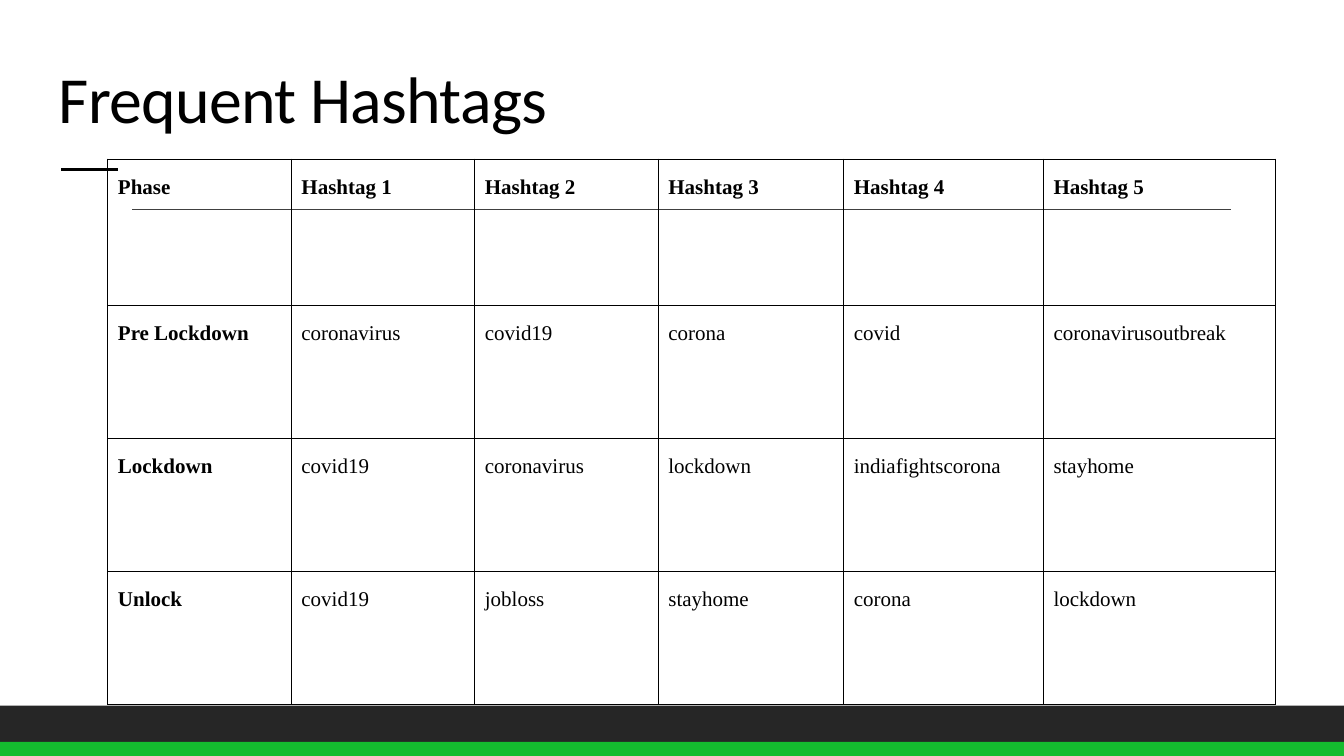
import dataclasses

import pptx
import pptx.dml.color
import pptx.enum.shapes
import pptx.enum.text
import pptx.oxml
import pptx.oxml.ns
import pptx.util

Inches = pptx.util.Inches
Pt = pptx.util.Pt
ALIGN = pptx.enum.text.PP_ALIGN
ANCHOR = pptx.enum.text.MSO_ANCHOR


@dataclasses.dataclass(frozen=True)
class Theme:
    ink: str = "000000"
    dark: str = "262626"
    green: str = "14BC2F"
    rule: str = "404040"
    head_font: str = "Calibri"
    body_font: str = "Times New Roman"
    head_size: float = 47
    body_size: float = 15


COLS = [1.82, 1.82, 1.82, 1.84, 1.98, 2.3]
ROWS = [1.45, 1.32, 1.32, 1.32]
TAGS = [
    ["Phase"] + [f"Hashtag {n}" for n in range(1, 6)],
    ["Pre Lockdown", "coronavirus", "covid19", "corona", "covid",
     "coronavirusoutbreak"],
    ["Lockdown", "covid19", "coronavirus", "lockdown", "indiafightscorona",
     "stayhome"],
    ["Unlock", "covid19", "jobloss", "stayhome", "corona", "lockdown"],
]


def color(code):
    return pptx.dml.color.RGBColor.from_string(code)


def write(frame, text, *, font, size, ink, bold=False, align=ALIGN.LEFT,
          lead=1.0, after=0, track=0):
    """Fill a text frame with one paragraph; track is letter spacing in points."""
    para = frame.paragraphs[0]
    para.alignment = align
    para.line_spacing = lead
    para.space_before = Pt(0)
    para.space_after = Pt(after)
    run = para.add_run()
    run.text = text
    run.font.name = font
    run.font.size = Pt(size)
    run.font.bold = bold
    run.font.color.rgb = color(ink)
    if track:
        run.font._element.set("spc", str(round(track * 100)))


def border(cell, ink, width):
    """Draw a solid line on all four sides of a cell."""
    props = cell._tc.get_or_add_tcPr()
    for side in ("lnL", "lnR", "lnT", "lnB"):
        props.append(pptx.oxml.parse_xml(
            f'<a:{side} {pptx.oxml.ns.nsdecls("a")} w="{Pt(width)}">'
            f'<a:solidFill><a:srgbClr val="{ink}"/></a:solidFill></a:{side}>'))


class Page:
    def __init__(self, deck, theme):
        self.theme = theme
        self.slide = deck.slides.add_slide(deck.slide_layouts[6])
        self.shapes = self.slide.shapes

    def bar(self, top, height, fill):
        shape = self.shapes.add_shape(
            pptx.enum.shapes.MSO_SHAPE.RECTANGLE,
            Inches(0), Inches(top), Inches(13.33), Inches(height))
        shape.shadow.inherit = False
        shape.fill.solid()
        shape.fill.fore_color.rgb = color(fill)
        shape.line.fill.background()

    def rule(self, left, right, top, ink, width):
        line = self.shapes.add_connector(
            pptx.enum.shapes.MSO_CONNECTOR.STRAIGHT,
            Inches(left), Inches(top), Inches(right), Inches(top))
        line.line.color.rgb = color(ink)
        line.line.width = Pt(width)
        line._element.spPr.append(pptx.oxml.parse_xml(
            f'<a:effectLst {pptx.oxml.ns.nsdecls("a")}/>'))

    def title(self, text, left, top, width, height):
        frame = self.shapes.add_textbox(
            Inches(left), Inches(top), Inches(width), Inches(height)).text_frame
        frame.word_wrap = True
        frame.vertical_anchor = ANCHOR.MIDDLE
        frame.margin_left = frame.margin_right = Inches(0.13)
        frame.margin_top = frame.margin_bottom = Inches(0.13)
        write(frame, text, font=self.theme.head_font, size=self.theme.head_size,
              ink=self.theme.ink, lead=0.9, track=-0.5)

    def table(self, data, left, top, cols, rows):
        """Draw a bordered table with its first row and column in bold."""
        grid = self.shapes.add_table(
            len(rows), len(cols), Inches(left), Inches(top),
            Inches(sum(cols)), Inches(sum(rows))).table
        grid.first_row = grid.horz_banding = False
        for col, width in zip(grid.columns, cols):
            col.width = Inches(width)
        for row, height in zip(grid.rows, rows):
            row.height = Inches(height)
        for r, line in enumerate(data):
            for c, text in enumerate(line):
                cell = grid.cell(r, c)
                border(cell, self.theme.ink, 1)
                cell.fill.background()
                cell.margin_left = cell.margin_right = Inches(0.1)
                cell.margin_top = cell.margin_bottom = Inches(0.13)
                write(cell.text_frame, text, font=self.theme.body_font,
                      size=self.theme.body_size, ink=self.theme.ink,
                      bold=r == 0 or c == 0, align=ALIGN.JUSTIFY,
                      lead=1.15, after=12)


def main():
    deck = pptx.Presentation()
    deck.slide_width = Inches(13.33)
    deck.slide_height = Inches(7.5)
    theme = Theme()
    page = Page(deck, theme)
    page.bar(7, 0.5, theme.dark)
    page.rule(1.31, 12.21, 2.08, theme.rule, 1)
    page.bar(7.36, 0.14, theme.green)
    page.rule(0.61, 1.17, 1.68, theme.ink, 2.25)
    page.title("Frequent Hashtags", 0.45, 0.54, 12.42, 0.94)
    page.table(TAGS, 1.07, 1.58, COLS, ROWS)
    deck.save("out.pptx")


if __name__ == "__main__":
    main()
